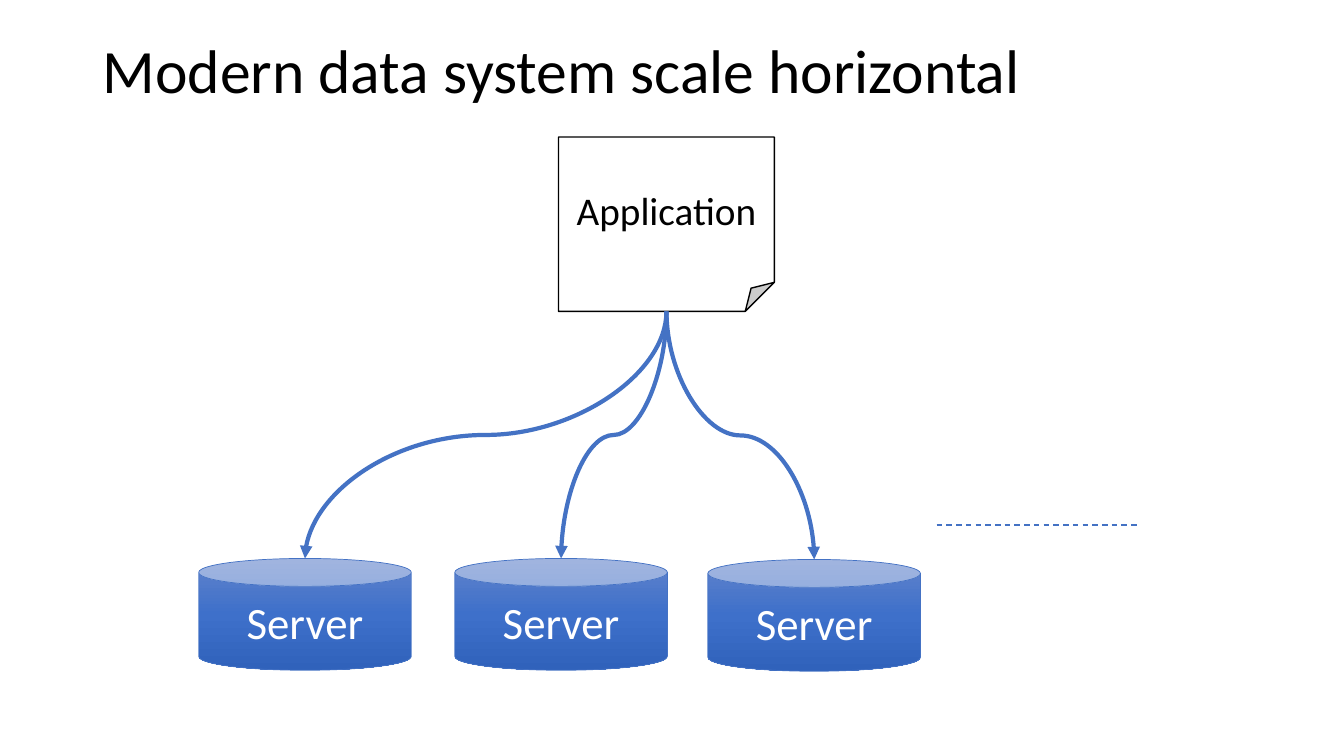
from dataclasses import dataclass

from lxml.etree import SubElement
from pptx import Presentation
from pptx.dml.color import RGBColor
from pptx.enum.dml import MSO_LINE
from pptx.enum.shapes import MSO_CONNECTOR as Wire, MSO_SHAPE as Form
from pptx.enum.text import MSO_ANCHOR as Anchor, PP_ALIGN as Align
from pptx.oxml.ns import qn
from pptx.util import Inches, Pt


@dataclass(frozen=True)
class Theme:
    font: str = "Calibri"
    black: str = "000000"
    white: str = "FFFFFF"
    blue: str = "4472C4"
    shades: tuple = ((0, "6183CB"), (50, "3E70CA"), (100, "3062BB"))
    title: int = 44
    app: int = 28
    server: int = 32


THEME = Theme()


def paint(color):
    return RGBColor.from_string(color)


def write(shape, text, size, color, align):
    frame = shape.text_frame
    frame.word_wrap = True
    frame.vertical_anchor = Anchor.MIDDLE
    para = frame.paragraphs[0]
    para.alignment = align
    run = para.add_run()
    run.text = text
    run.font.name = THEME.font
    run.font.size = Pt(size)
    run.font.color.rgb = paint(color)
    return para


def stroke(item, color, width):
    item.line.color.rgb = paint(color)
    item.line.width = Pt(width)


def add_title(slide, text):
    box = slide.shapes.add_textbox(Inches(0.92), 0, Inches(11.5), Inches(1.45))
    para = write(box, text, THEME.title, THEME.black, Align.LEFT)
    para.line_spacing = 0.9


def add_node(slide, form, place, color, width):
    node = slide.shapes.add_shape(form, *map(Inches, place))
    node.shadow.inherit = False
    stroke(node, color, width)
    return node


def add_app(slide):
    app = add_node(slide, Form.FOLDED_CORNER, (5.54, 1.36, 2.14, 1.73), THEME.black, 1)
    app.fill.solid()
    app.fill.fore_color.rgb = paint(THEME.white)
    write(app, "Application", THEME.app, THEME.black, Align.CENTER)
    return app


def shade(shape):
    shape.fill.gradient()
    shape.fill.gradient_angle = 270
    stops = shape._element.spPr.find(".//" + qn("a:gsLst"))
    for stop in list(stops):
        stops.remove(stop)
    for spot, color in THEME.shades:
        stop = SubElement(stops, qn("a:gs"), pos=str(spot * 1000))
        SubElement(stop, qn("a:srgbClr"), val=color)


def add_server(slide, left, top):
    can = add_node(slide, Form.CAN, (left, top, 2.11, 1.11), THEME.blue, 0.5)
    shade(can)
    write(can, "Server", THEME.server, THEME.white, Align.CENTER)
    return can


def add_wire(slide, kind, ends, width):
    wire = slide.shapes.add_connector(kind, *ends)
    stroke(wire, THEME.blue, width)
    SubElement(wire._element.spPr, qn("a:effectLst"))
    return wire


def add_curve(slide, app, can):
    start = app.left + app.width // 2, app.top + app.height
    end = can.left + can.width // 2, can.top
    wire = add_wire(slide, Wire.CURVE, (*start, *end), 3)
    wire.begin_connect(app, 2)
    wire.end_connect(can, 1)

    drop, shift = end[1] - start[1], end[0] - start[0]
    wire.width, wire.height = drop, abs(shift)
    wire.left = (start[0] + end[0] - drop) // 2
    wire.top = (start[1] + end[1] - abs(shift)) // 2
    frame = wire._element.spPr.find(qn("a:xfrm"))
    frame.set("rot", str((270 if shift > 0 else 90) * 60000))
    frame.set("flipH", "1" if shift > 0 else "0")
    frame.set("flipV", "0")
    SubElement(wire.line._get_or_add_ln(), qn("a:tailEnd"), type="triangle")


def main():
    deck = Presentation()
    deck.slide_width, deck.slide_height = Inches(13.33), Inches(7.5)
    slide = deck.slides.add_slide(deck.slide_layouts[6])

    add_title(slide, "Modern data system scale horizontal")
    app = add_app(slide)
    for left, top in ((1.97, 5.54), (4.51, 5.54), (7.02, 5.55)):
        add_curve(slide, app, add_server(slide, left, top))

    ends = map(Inches, (9.29, 5.21, 11.29, 5.21))
    more = add_wire(slide, Wire.STRAIGHT, ends, 1)
    more.line.dash_style = MSO_LINE.DASH
    deck.save("out.pptx")


if __name__ == "__main__":
    main()
